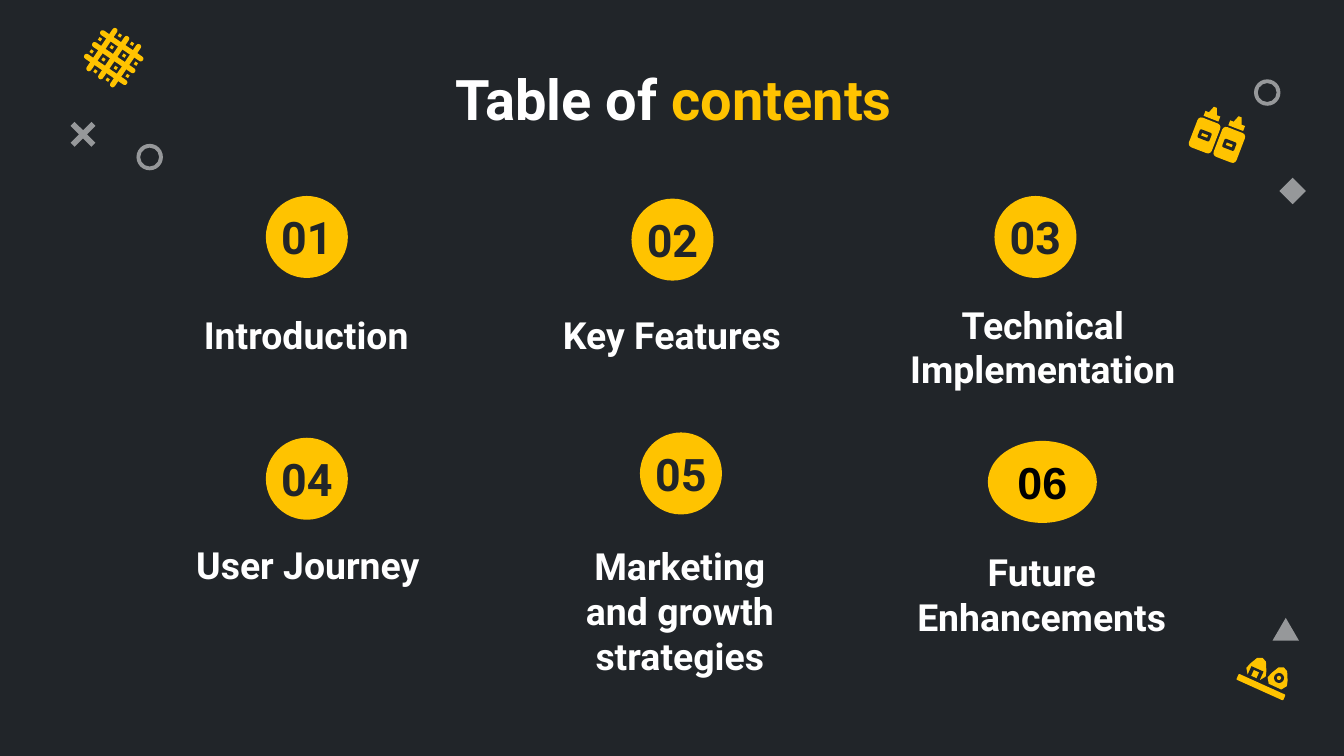
"""Build the table of contents slide with its numbered topics and small icons."""
from itertools import product
from math import cos, radians, sin

from lxml.etree import SubElement
from pptx import Presentation
from pptx.dml.color import RGBColor
from pptx.enum.shapes import MSO_SHAPE as Kind
from pptx.enum.text import MSO_ANCHOR as Anchor, MSO_AUTO_SIZE as AutoSize, PP_ALIGN as Align
from pptx.oxml.ns import qn
from pptx.util import Cm, Pt

COLORS = {"dark": "212529", "yellow": "FFC300", "white": "FFFFFF", "black": "000000"}
CIRCLE = 1.55
CAP = [(-15, 10), (-15, 0), (-8, 0), (-3, -13), (3, -13), (8, 0), (15, 0), (15, 10)]
DOME = [(0, -20), (9, -16), (17, 0), (20, 10), (13, 20),
        (-13, 20), (-20, 10), (-17, 0), (-9, -16)]
TOPICS = [
    ("01", 5.8, 4.48, "Introduction", 5.79, 5.77, 5.94),
    ("02", 12.71, 4.53, "Key Features", 12.7, 5.77, 8.18),
    ("03", 19.57, 4.48, "Technical\vImplementation", 19.71, 6.43, 8.18),
    ("04", 5.8, 9.05, "User Journey", 5.82, 10.13, 8.18),
    ("05", 12.87, 8.95, "Marketing\vand growth\nstrategies", 12.85, 11.84, 5.94),
]
DECORATIONS = [
    (Kind.DONUT, 23.7, 1.5, 0.5, 0.5, 0.142),
    (Kind.DONUT, 2.58, 2.72, 0.5, 0.5, 0.142),
    (Kind.MATH_MULTIPLY, 1.19, 2.16, 0.76, 0.76, 0.143),
    (Kind.ISOSCELES_TRIANGLE, 24.05, 11.68, 0.5, 0.43, 0.5),
    (Kind.DIAMOND, 24.18, 3.36, 0.5, 0.5, None),
]


def write(shape, text, accent="", size=20, color="white", font="Roboto",
          anchor=Anchor.BOTTOM, wrap=True):
    """Fill a shape with bold centred text, ending in an optional yellow accent."""
    frame = shape.text_frame
    frame.text = text
    frame.word_wrap = wrap
    frame.auto_size = AutoSize.NONE
    frame.vertical_anchor = anchor
    frame.margin_left = frame.margin_right = Cm(0.25)
    frame.margin_top = frame.margin_bottom = Cm(0.25)
    if accent:
        frame.paragraphs[-1].add_run().text = accent
    for paragraph in frame.paragraphs:
        paragraph.alignment = Align.CENTER
        for run in paragraph.runs:
            run.font.name, run.font.size, run.font.bold = font, Pt(size), True
            tone = "yellow" if accent and run.text == accent else color
            run.font.color.rgb = RGBColor.from_string(COLORS[tone])


def turned(origin, dx, dy, angle):
    """Return the point at an offset from the origin, turned clockwise by the angle."""
    c, s = cos(radians(angle)), sin(radians(angle))
    return origin[0] + dx * c - dy * s, origin[1] + dx * s + dy * c


class Deck:
    """Hold the presentation style and the current slide."""

    def __init__(self):
        self.presentation = Presentation()
        self.presentation.slide_width, self.presentation.slide_height = Cm(25.4), Cm(14.29)
        self.slide = self.presentation.slides.add_slide(self.presentation.slide_layouts[5])
        self.slide.background.fill.solid()
        self.slide.background.fill.fore_color.rgb = RGBColor.from_string(COLORS["dark"])

    def paint(self, shape, color):
        """Give a shape a flat fill with no line and no shadow."""
        shape.shadow.inherit = False
        shape.line.fill.background()
        shape.fill.solid()
        shape.fill.fore_color.rgb = RGBColor.from_string(COLORS[color])
        return shape

    def title(self, text, accent):
        """Place the slide title."""
        shape = self.slide.shapes.title
        shape.left, shape.top, shape.width, shape.height = Cm(5.44), Cm(0.97), Cm(14.58), Cm(1.32)
        write(shape, text, accent, size=30, anchor=Anchor.TOP)

    def text(self, content, x, top, width, height=1.22, **style):
        """Add a text box centred on x."""
        box = self.slide.shapes.add_textbox(Cm(x - width / 2), Cm(top), Cm(width), Cm(height))
        write(box, content, **style)

    def figure(self, kind, x, y, width, height, color="yellow", angle=0, adjust=None):
        """Add a preset shape centred on a point."""
        shape = self.slide.shapes.add_shape(
            kind, Cm(x - width / 2), Cm(y - height / 2), Cm(width), Cm(height))
        shape.rotation = angle
        if adjust is not None:
            shape.adjustments[0] = adjust
        return self.paint(shape, color)

    def decoration(self, kind, left, top, width, height, adjust):
        """Add a translucent white shape."""
        shape = self.figure(kind, left + width / 2, top + height / 2,
                            width, height, "white", adjust=adjust)
        color = shape.fill._xPr.find(qn("a:solidFill"))[0]
        SubElement(color, qn("a:alpha"), val="53000")

    def piece(self, icon, kind, dx, dy, width, height, color="yellow", adjust=None):
        """Add a preset shape as part of a turned icon."""
        origin, angle = icon
        self.figure(kind, *turned(origin, dx, dy, angle), width, height, color, angle, adjust)

    def outline(self, icon, dx, dy, points):
        """Add a polygon, given in hundredths, as part of a turned icon."""
        origin, angle = icon
        corners = [turned(origin, dx + x / 100, dy + y / 100, angle) for x, y in points]
        corners = [(Cm(x), Cm(y)) for x, y in corners]
        builder = self.slide.shapes.build_freeform(*corners[0])
        builder.add_line_segments(corners[1:], close=True)
        self.paint(builder.convert_to_shape(), "yellow")

    def waffle(self, icon):
        """Draw a lattice of bars with dots in its gaps."""
        for step in (-0.27, 0, 0.27):
            self.piece(icon, Kind.ROUNDED_RECTANGLE, step, 0, 0.1, 0.97, adjust=0.5)
            self.piece(icon, Kind.ROUNDED_RECTANGLE, 0, step, 0.97, 0.1, adjust=0.5)
        for dx, dy in product((-0.41, -0.14, 0.14, 0.41), repeat=2):
            if abs(dx) + abs(dy) < 0.8:
                self.piece(icon, Kind.RECTANGLE, dx, dy, 0.06, 0.06)

    def bottles(self, icon):
        """Draw two sauce bottles."""
        for dx in (-0.25, 0.25):
            self.piece(icon, Kind.ROUNDED_RECTANGLE, dx, 0, 0.46, 0.6)
            self.piece(icon, Kind.ROUNDED_RECTANGLE, dx, 0, 0.24, 0.17, "dark")
            self.piece(icon, Kind.RECTANGLE, dx, 0, 0.12, 0.05)
            self.outline(icon, dx, -0.44, CAP)

    def sushi(self, icon):
        """Draw two rice rolls on a plate."""
        self.piece(icon, Kind.ROUNDED_RECTANGLE, 0, 0, 0.97, 0.12)
        for dx in (-0.2, 0.24):
            self.outline(icon, dx, -0.32, DOME)
        self.piece(icon, Kind.RECTANGLE, -0.2, -0.2, 0.25, 0.18, "dark")
        self.piece(icon, Kind.RECTANGLE, -0.2, -0.18, 0.11, 0.12)
        self.piece(icon, Kind.OVAL, 0.24, -0.3, 0.19, 0.19, "dark")
        self.piece(icon, Kind.OVAL, 0.24, -0.3, 0.08, 0.08)


def main():
    """Compose the slide and save it."""
    deck = Deck()
    deck.title("Table of", " contents")
    for decoration in DECORATIONS:
        deck.decoration(*decoration)
    deck.waffle(((2.15, 1.09), 34.2))
    deck.bottles(((23, 2.65), 21))
    deck.sushi(((23.83, 12.99), 24.3))
    for number, x, y, label, label_x, label_top, label_width in TOPICS:
        deck.figure(Kind.OVAL, x, y, CIRCLE, CIRCLE)
        deck.text(number, x, y - 0.61, 2.06, size=24, color="dark", anchor=Anchor.MIDDLE)
        deck.text(label, label_x, label_top, label_width)
    last = deck.figure(Kind.OVAL, 19.7, 9.11, 2.06, CIRCLE)
    write(last, "06", size=24, color="black", font="Arial", anchor=Anchor.MIDDLE, wrap=False)
    deck.text("Future\vEnhancements", 19.69, 10.13, 5.94, 1.4, anchor=Anchor.TOP)
    deck.presentation.save("out.pptx")


if __name__ == "__main__":
    main()
